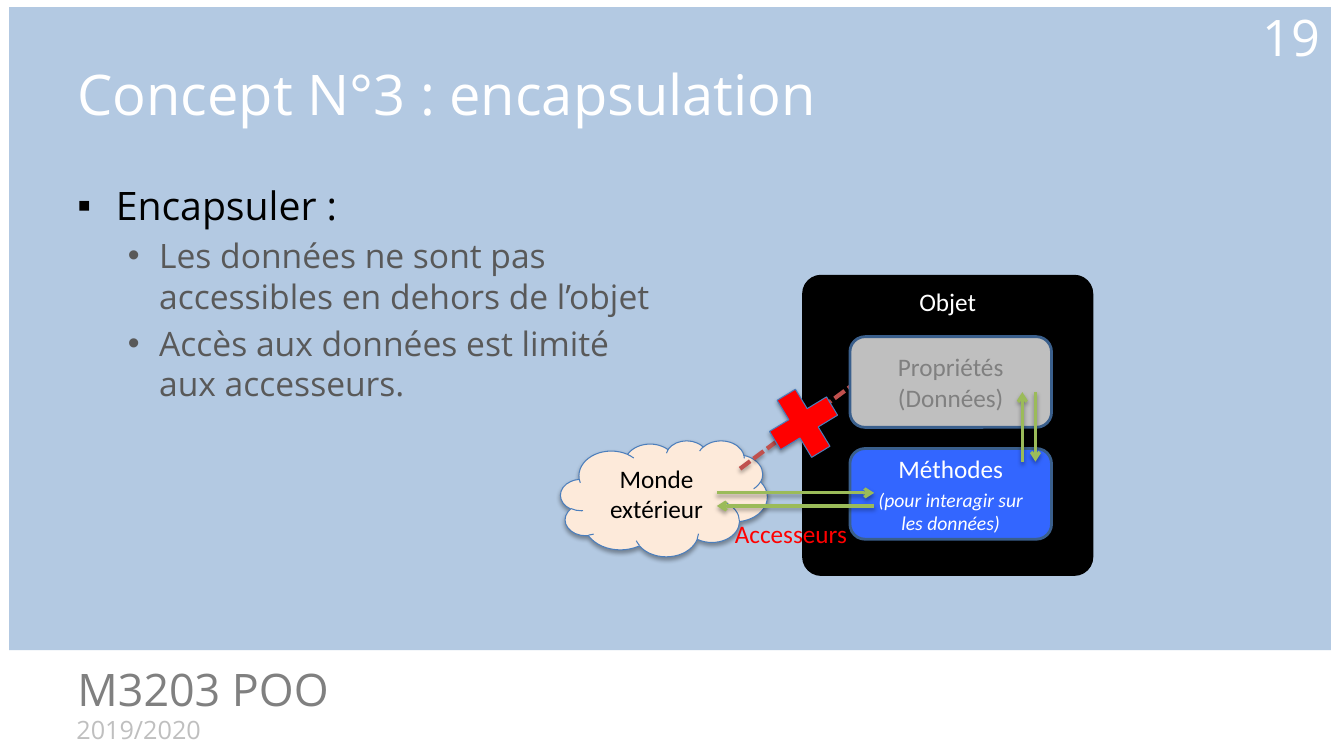
from dataclasses import dataclass
from lxml.etree import SubElement
from pptx import Presentation
from pptx.dml.color import RGBColor
from pptx.enum.dml import MSO_LINE
from pptx.enum.shapes import MSO_CONNECTOR, MSO_SHAPE
from pptx.enum.text import MSO_ANCHOR, PP_ALIGN
from pptx.oxml.ns import qn
from pptx.util import Inches, Pt


@dataclass(frozen=True)
class Theme:
    display: str = "Open Sans"
    label: str = "Calibri"
    panel: str = "95B3D7"
    white: str = "FFFFFF"
    black: str = "000000"
    dark: str = "595959"
    gray: str = "808080"
    light: str = "BFBFBF"
    red: str = "FF0000"
    green: str = "9BBB59"
    blue: str = "3366FF"
    box_edge: str = "3A5F8C"
    thin_edge: str = "4B7EBC"
    cloud: str = "FDEADA"
    blocked: str = "C0504D"
    title: int = 40
    number: int = 36
    course: int = 32
    heading: int = 28
    item: int = 24
    small: int = 18
    note: int = 14


T = Theme()


def rgb(value):
    return RGBColor.from_string(value)


def add_alpha(color, percent):
    SubElement(color, qn("a:alpha"), val=str(percent * 1000))


def add_shadow(effects):
    shadow = SubElement(effects, qn("a:outerShdw"), blurRad=str(Pt(3.1)),
                        dist=str(Pt(1.8)), dir="5400000", rotWithShape="0")
    add_alpha(SubElement(shadow, qn("a:srgbClr"), val=T.black), 35)


def style(p, size, color, font=T.label, **formats):
    """Format the paragraph and its runs."""
    for r in p.runs:
        r.font.color.rgb = rgb(color)
        for name, value in {"size": Pt(size), "name": font}.items():
            setattr(r.font, name, value)
    for name, value in formats.items():
        setattr(p, name, value)


def text(s, box, words, size, color, font=T.display, wrap=True,
         anchor=MSO_ANCHOR.TOP, align=PP_ALIGN.LEFT):
    tf = s.shapes.add_textbox(*map(Inches, box)).text_frame
    tf.word_wrap, tf.vertical_anchor = wrap, anchor
    p = tf.paragraphs[0]
    p.text = words
    style(p, size, color, font, alignment=align)


def shape(s, kind, box, fill, edge=None, width=2.0, shadow=False):
    sp = s.shapes.add_shape(kind, *map(Inches, box))
    sp.fill.solid()
    sp.fill.fore_color.rgb = rgb(fill)
    if edge:
        sp.line.color.rgb = rgb(edge)
        sp.line.width = Pt(width)
    else:
        sp.line.fill.background()
    sp.shadow.inherit = False
    if shadow:
        add_shadow(sp._element.spPr.find(qn("a:effectLst")))
    return sp


def label(sp, lines, anchor=MSO_ANCHOR.MIDDLE, margin=0.1):
    """Centre (words, size, colour, italic) lines in a shape."""
    tf = sp.text_frame
    tf.word_wrap, tf.vertical_anchor = True, anchor
    tf.margin_left = tf.margin_right = Inches(margin)
    for i, (words, size, color, italic) in enumerate(lines):
        p = tf.add_paragraph() if i else tf.paragraphs[0]
        p.text = words
        style(p, size, color, alignment=PP_ALIGN.CENTER)
        p.runs[0].font.italic = italic


def arrow(s, start, end, color=T.green, width=2.25, dash=None):
    c = s.shapes.add_connector(MSO_CONNECTOR.STRAIGHT, *map(Inches, start + end))
    c.line.color.rgb = rgb(color)
    c.line.width = Pt(width)
    if dash:
        c.line.dash_style = dash
    SubElement(c.line._get_or_add_ln(), qn("a:tailEnd"), type="arrow")
    add_shadow(SubElement(c._element.spPr, qn("a:effectLst")))


def draw_frame(s, x, y, w, h):
    """Tinted panel, page number, title and footer."""
    panel = shape(s, MSO_SHAPE.RECTANGLE, (x, y, w, h), T.panel)
    add_alpha(panel._element.spPr.find(qn("a:solidFill"))[0], 71)
    left = x + 0.58
    text(s, (left - 0.01, y + h + 0.59, 5.33, 0.4), "2019/2020", T.small, T.light)
    text(s, (left, y + h + 0.07, 6.83, 0.64), "M3203 POO", T.course, T.gray)
    text(s, (left, y + 0.23, 12, 1.25), "Concept N°3 : encapsulation",
         T.title, T.white, anchor=MSO_ANCHOR.MIDDLE)
    text(s, (x + w - 1.7, y, 1.69, 0.58), "19", T.number, T.white,
         anchor=MSO_ANCHOR.MIDDLE, align=PP_ALIGN.RIGHT)


def draw_bullets(s, x, y, w, h):
    """Heading with its two sub-items."""
    items = [("Encapsuler :", "▪", 0.38, 0.38, T.heading, T.black),
             ("Les données ne sont pas accessibles en dehors de l’objet",
              "•", 0.81, 0.31, T.item, T.dark),
             ("Accès aux données est limité aux accesseurs.",
              "•", 0.81, 0.31, T.item, T.dark)]
    tf = s.shapes.add_textbox(*map(Inches, (x, y, w, h))).text_frame
    tf.word_wrap = True
    for i, (words, mark, indent, hang, size, color) in enumerate(items):
        p = tf.add_paragraph() if i else tf.paragraphs[0]
        p.text = words
        p.level = int(i > 0)
        pPr = p._p.get_or_add_pPr()
        pPr.set("marL", str(Inches(indent)))
        pPr.set("indent", str(-Inches(hang)))
        SubElement(pPr, qn("a:buFont"), typeface="Arial")
        SubElement(pPr, qn("a:buChar"), char=mark)
        style(p, size, color, T.display, line_spacing=1.0,
              space_before=Pt(0.2 * size if i else 0))


def draw_diagram(s, x, y, w, h):
    """Outside world reaching the object's data only through its methods."""
    rounded = MSO_SHAPE.ROUNDED_RECTANGLE
    obj_x = x + w - 2.86
    box_x = obj_x + 0.46

    # Object and its methods
    obj = shape(s, rounded, (obj_x, y, 2.86, h), T.black, T.black)
    obj.adjustments[0] = 0.061
    label(obj, [("Objet", T.small, T.white, False)], MSO_ANCHOR.TOP)
    methods = shape(s, rounded, (box_x, y + 1.71, 2, 0.9), T.blue, T.box_edge)
    label(methods, [("Méthodes", T.small, T.white, False),
                    ("(pour interagir sur les données)", T.note, T.white, True)],
          margin=0.2)
    methods.text_frame.paragraphs[1].space_before = Pt(3)

    # Outside world and the blocked path to the data
    world = shape(s, MSO_SHAPE.CLOUD, (x, y + 1.63, 2.05, 1.15), T.cloud,
                  T.thin_edge, 0.75, True)
    label(world, [("Monde extérieur", T.small, T.black, False)], MSO_ANCHOR.TOP)
    arrow(s, (x + 1.78, y + 1.91), (x + 3.11, y + 0.92), T.blocked, 3,
          MSO_LINE.SQUARE_DOT)
    cross = shape(s, MSO_SHAPE.MATH_MULTIPLY, (x + 1.96, y + 1.01, 0.9, 0.9),
                  T.red, T.thin_edge, 0.75, True)
    cross.rotation = 13.8
    data = shape(s, rounded, (box_x, y + 0.6, 2, 0.9), T.light, T.box_edge)
    label(data, [("Propriétés (Données)", T.small, T.gray, False)])

    # Two-way exchanges
    near, far, row = x + 1.55, x + 3.11, y + 2.15
    top, bottom, col = y + 1.15, y + 1.84, x + 4.58
    gap = 0.13
    arrow(s, (near, row), (far, row))
    arrow(s, (far, row + gap), (near, row + gap))
    arrow(s, (col, bottom), (col, top))
    arrow(s, (col + gap, top), (col + gap, bottom))
    text(s, (x + 1.63, y + 2.35, 1.33, 0.4), "Accesseurs", T.small, T.red,
         T.label, wrap=False)


def main():
    prs = Presentation()
    prs.slide_width, prs.slide_height = Inches(13.33), Inches(7.5)
    s = prs.slides.add_slide(prs.slide_layouts[6])
    draw_frame(s, 0.09, 0.07, 13.11, 6.38)
    draw_bullets(s, 0.67, 1.75, 5.89, 4.95)
    draw_diagram(s, 5.56, 2.74, 5.27, 2.96)
    prs.save("out.pptx")


if __name__ == "__main__":
    main()
